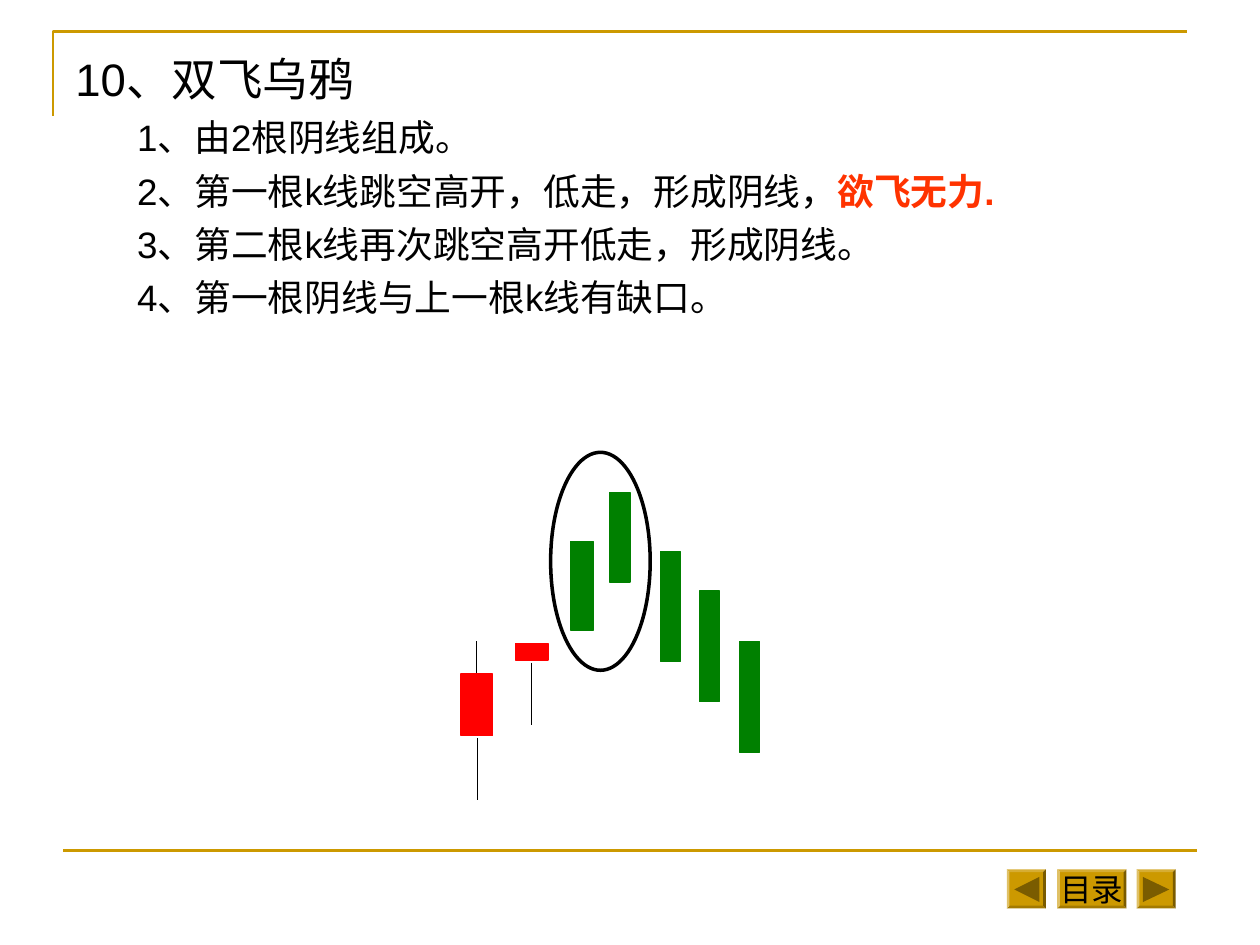
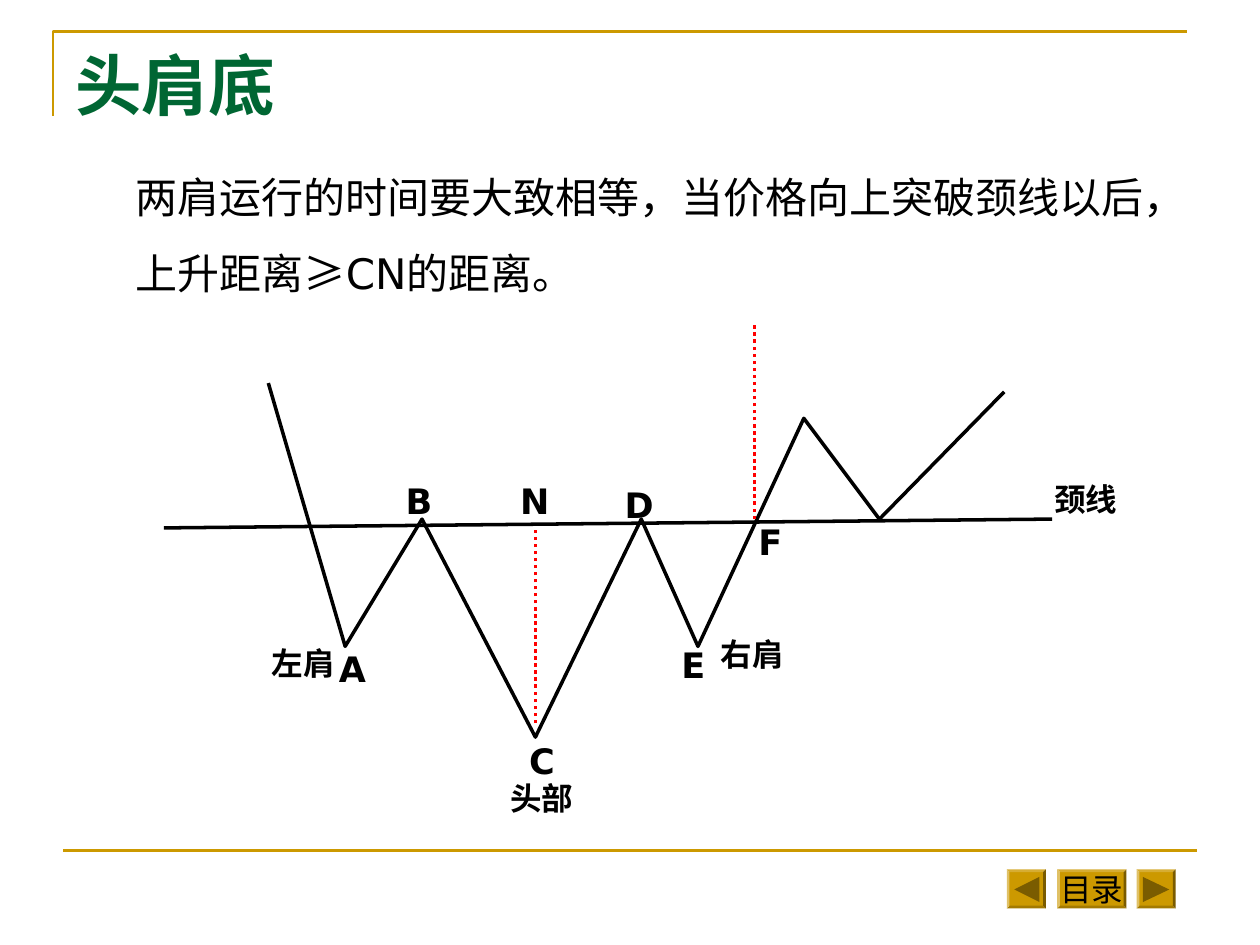
from lxml.etree import SubElement
from pptx import Presentation
from pptx.dml.color import RGBColor
from pptx.enum.dml import MSO_LINE
from pptx.enum.shapes import MSO_CONNECTOR, MSO_SHAPE
from pptx.enum.text import MSO_ANCHOR, PP_ALIGN
from pptx.oxml.ns import qn
from pptx.util import Inches, Pt

# Shared colours and fonts
GOLD, DARK_GOLD = "CC9900", "7A5C00"
BLACK, RED, GREEN = "000000", "FF0000", "008000"
TITLE_GREEN, ACCENT = "006633", "FF3300"
ARIAL, DEJAVU, NOTO = "Arial", "DejaVu Sans", "Noto Sans CJK SC"
SERIF = "Times New Roman"


def rgb(color):
    return RGBColor.from_string(color)


# Element helpers
def style(sp, fill=None, line=None, width=0.75):
    sp.shadow.inherit = False
    if fill:
        sp.fill.solid()
        sp.fill.fore_color.rgb = rgb(fill)
    else:
        sp.fill.background()
    if line:
        sp.line.color.rgb = rgb(line)
        sp.line.width = Pt(width)
    else:
        sp.line.fill.background()


def add_preset(s, kind, x, y, w, h, **look):
    sp = s.shapes.add_shape(kind, Inches(x), Inches(y), Inches(w), Inches(h))
    style(sp, **look)
    return sp


def add_path(s, points, close=False, **look):
    points = [(Inches(x), Inches(y)) for x, y in points]
    builder = s.shapes.build_freeform(*points[0], scale=1.0)
    builder.add_line_segments(points[1:], close=close)
    sp = builder.convert_to_shape()
    style(sp, **look)
    return sp


def add_line(s, start, end, color=BLACK, width=0.75, dash=None):
    line = s.shapes.add_connector(
        MSO_CONNECTOR.STRAIGHT, *(Inches(v) for v in start + end))
    line.line.color.rgb = rgb(color)
    line.line.width = Pt(width)
    if dash:
        line.line.dash_style = dash
    SubElement(line._element.spPr, qn("a:effectLst"))


def add_run(p, text, size, font, color=BLACK, bold=False):
    r = p.add_run()
    r.text = text
    r.font.size = Pt(size)
    r.font.name = font
    r.font.bold = bold
    r.font.color.rgb = rgb(color)
    return r


def add_text_box(s, x, y, w, h):
    tf = s.shapes.add_textbox(
        Inches(x), Inches(y), Inches(w), Inches(h)).text_frame
    tf.word_wrap = True
    return tf


def add_label(s, text, x, y, w=0.91, h=0.4, size=18, font=DEJAVU, color=BLACK):
    tf = add_text_box(s, x, y, w, h)
    add_run(tf.paragraphs[0], text, size, font, color, bold=True)


# Frame and navigation buttons
def add_button(s, x, w):
    sp = add_preset(s, MSO_SHAPE.BEVEL, x, 6.9, w, 0.31, fill=GOLD)
    sp.adjustments[0] = 0.07
    return sp


def add_frame(s):
    add_path(s, [(0.42, 0.92), (0.42, 0.25), (9.42, 0.25)],
             line=GOLD, width=1.5)
    add_line(s, (0.5, 6.75), (9.5, 6.75), GOLD, 1.5)

    tf = add_button(s, 8.39, 0.55).text_frame
    tf.word_wrap = False
    tf.vertical_anchor = MSO_ANCHOR.MIDDLE
    p = tf.paragraphs[0]
    p.alignment = PP_ALIGN.CENTER
    add_run(p, "目录", 18, ARIAL)

    for x, base, tip in ((7.99, 8.25, 8.05), (9.02, 9.07, 9.28)):
        add_button(s, x, 0.31)
        add_path(s, [(base, 6.96), (tip, 7.06), (base, 7.16)],
                 close=True, fill=DARK_GOLD)


# Slide 1: two crows
def add_candle(s, x, y, w, h, color):
    add_preset(s, MSO_SHAPE.RECTANGLE, x, y, w, h, fill=color, line=color)


def build_two_crows(s):
    tf = add_text_box(s, 0.5, 0.36, 9, 6.34)
    add_run(tf.paragraphs[0], "10、双飞乌鸦", 26, ARIAL)
    rules = [
        ("1、由2根阴线组成。", ""),
        ("2、第一根k线跳空高开，低走，形成阴线，", "欲飞无力."),
        ("3、第二根k线再次跳空高开低走，形成阴线。", ""),
        ("4、第一根阴线与上一根k线有缺口。", ""),
    ]
    for rule, stress in rules:
        p = tf.add_paragraph()
        p.space_before = Pt(5.2)
        p._p.get_or_add_pPr().set("marL", str(Inches(0.49)))
        add_run(p, rule, 21, ARIAL)
        if stress:
            add_run(p, stress, 21, ARIAL, ACCENT, bold=True)

    add_preset(s, MSO_SHAPE.OVAL, 4.37, 3.59, 0.79, 1.73, line=BLACK, width=2)
    add_candle(s, 3.66, 5.35, 0.25, 0.49, RED)
    add_candle(s, 4.09, 5.11, 0.26, 0.13, RED)
    for x, top, bottom in ((3.78, 5.09, 5.34), (3.79, 5.86, 6.35),
                           (4.22, 5.26, 5.75)):
        add_line(s, (x, top), (x, bottom))
    for x, y, w, h in ((4.53, 4.3, 0.18, 0.7), (4.84, 3.91, 0.16, 0.71),
                       (5.24, 4.38, 0.16, 0.87), (5.55, 4.69, 0.16, 0.88),
                       (5.87, 5.09, 0.16, 0.88)):
        add_candle(s, x, y, w, h, GREEN)


# Slide 2: head and shoulders bottom
def build_head_shoulders(s):
    add_label(s, "头肩底", 0.5, 0.3, 9, 0.69, 38, SERIF, TITLE_GREEN)

    tf = add_text_box(s, 0.98, 1.31, 8.74, 1.11)
    add_run(tf.paragraphs[0],
            "两肩运行的时间要大致相等，当价格向上突破颈线以后，", 24, DEJAVU)
    p = tf.add_paragraph()
    p.space_before = Pt(15)
    add_run(p, "上升距离", 24, DEJAVU)
    sign = add_run(p, "≥", 24, NOTO)
    SubElement(sign._r.get_or_add_rPr(), qn("a:ea")).set("typeface", NOTO)
    add_run(p, "CN的距离。", 24, DEJAVU)

    # Price path, neckline and measured distances
    add_path(s, [(2.13, 3.04), (2.74, 5.13), (3.35, 4.12), (4.25, 5.85),
                 (5.09, 4.12), (5.54, 5.13), (6.38, 3.32), (6.98, 4.12),
                 (7.97, 3.11)], line=BLACK, width=2)
    add_line(s, (1.3, 4.19), (8.35, 4.12), width=2)
    for x, bottom, top in ((4.25, 5.74, 4.19), (5.99, 4.12, 2.57)):
        add_line(s, (x, bottom), (x, top), RED, 2, MSO_LINE.ROUND_DOT)

    # Names of the points and parts
    for letter, x, y in (("A", 2.59, 5.09), ("B", 3.12, 3.76),
                         ("C", 4.1, 5.82), ("D", 4.86, 3.79),
                         ("E", 5.31, 5.06), ("F", 5.92, 4.08),
                         ("N", 4.03, 3.76)):
        add_label(s, letter, x, y, 0.45, 0.44, 20)
    for part, x, y in (("左肩", 2.06, 5.06), ("右肩", 5.62, 4.99),
                       ("颈线", 8.27, 3.76), ("头部", 3.95, 6.13)):
        add_label(s, part, x, y)


def main():
    prs = Presentation()
    prs.slide_width, prs.slide_height = Inches(10), Inches(7.5)
    for build in (build_two_crows, build_head_shoulders):
        s = prs.slides.add_slide(prs.slide_layouts[6])
        add_frame(s)
        build(s)
    prs.save("out.pptx")


if __name__ == "__main__":
    main()
